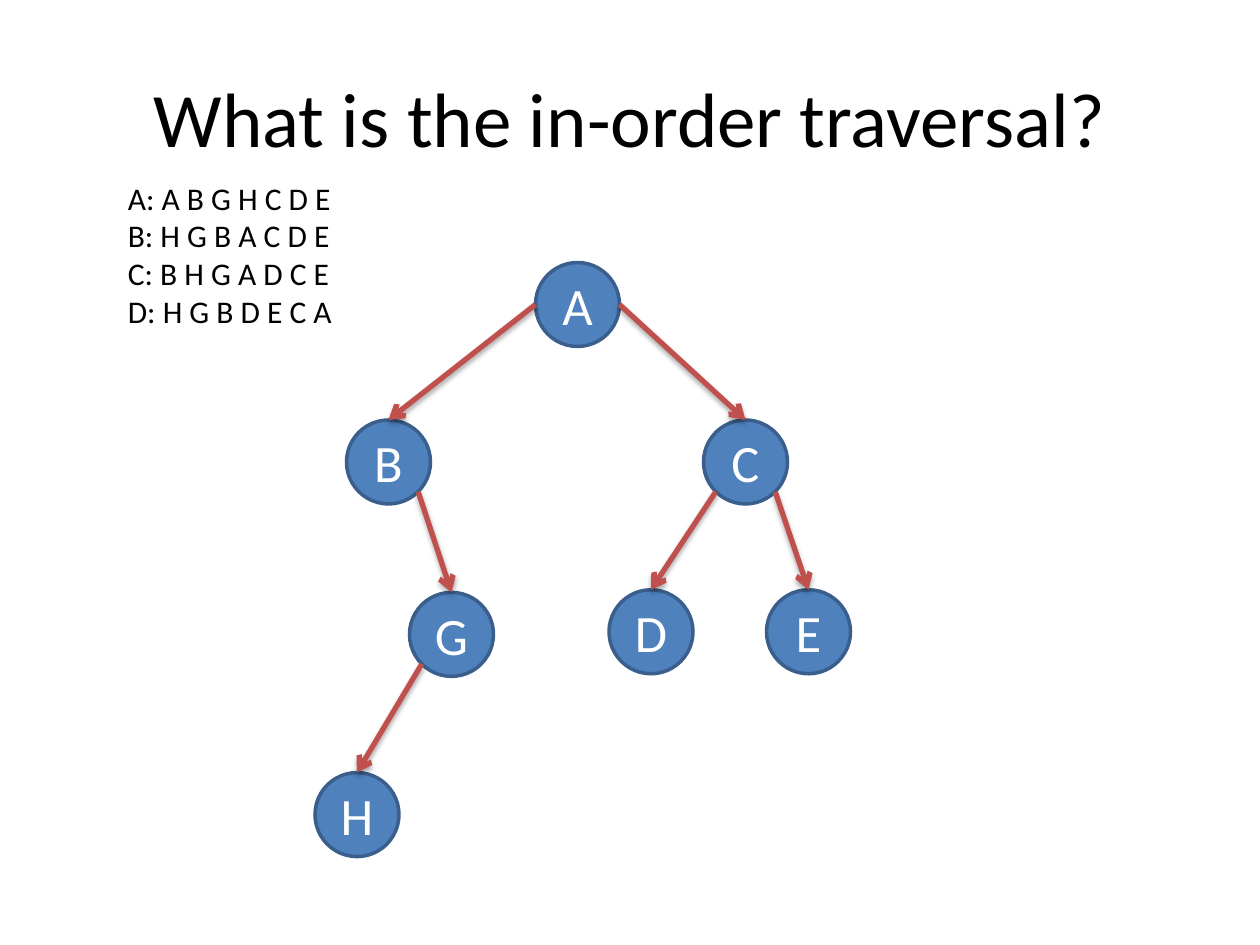
from math import sqrt

from lxml.etree import SubElement
from pptx import Presentation
from pptx.dml.color import RGBColor
from pptx.enum.shapes import MSO_CONNECTOR as CONN, MSO_SHAPE as SHAPE
from pptx.enum.text import MSO_ANCHOR as ANCHOR, MSO_AUTO_SIZE as AUTO, PP_ALIGN as ALIGN
from pptx.oxml.ns import qn
from pptx.util import Pt

BLACK = RGBColor(0x00, 0x00, 0x00)
WHITE = RGBColor(0xFF, 0xFF, 0xFF)
BLUE = RGBColor(0x4F, 0x81, 0xBD)
DARK_BLUE = RGBColor(0x3A, 0x5F, 0x8C)
RED = RGBColor(0xC0, 0x50, 0x4D)

NODE = 48  # node diameter in points
DIAGONAL = sqrt(0.5)

# Left and top of each node
NODES = {
    "A": (306, 150),
    "B": (198, 240), "C": (402, 240),
    "G": (234, 338.5), "D": (348, 337), "E": (438, 337),
    "H": (180, 441.5),
}
# Parent, child, and where the arrow leaves the parent (in radii from its centre)
EDGES = [
    ("A", "B", (-1, 0)), ("A", "C", (1, 0)),
    ("B", "G", (DIAGONAL, DIAGONAL)),
    ("C", "D", (-DIAGONAL, DIAGONAL)), ("C", "E", (DIAGONAL, DIAGONAL)),
    ("G", "H", (-DIAGONAL, DIAGONAL)),
]
ANSWERS = ["A: A B G H C D E", "B: H G B A C D E", "C: B H G A D C E", "D: H G B D E C A"]


def write(tf, lines, size, color=BLACK, align=ALIGN.LEFT, anchor=ANCHOR.TOP):
    """Fill a text frame with one paragraph per line."""
    tf.vertical_anchor = anchor
    for i, line in enumerate(lines):
        p = tf.paragraphs[0] if i == 0 else tf.add_paragraph()
        p.alignment = align
        r = p.add_run()
        r.text = line
        r.font.name = "Calibri"
        r.font.size = Pt(size)
        r.font.color.rgb = color


class TreeSlide:
    def __init__(self, prs):
        self.s = prs.slides.add_slide(prs.slide_layouts[5])
        self.nodes = {}

    def title(self, text, x, y, w, h):
        sp = self.s.shapes.title
        sp.left, sp.top, sp.width, sp.height = Pt(x), Pt(y), Pt(w), Pt(h)
        write(sp.text_frame, [text], 44, align=ALIGN.CENTER, anchor=ANCHOR.MIDDLE)

    def answers(self, lines, x, y, w, h):
        tf = self.s.shapes.add_textbox(Pt(x), Pt(y), Pt(w), Pt(h)).text_frame
        tf.word_wrap = False
        tf.auto_size = AUTO.SHAPE_TO_FIT_TEXT
        write(tf, lines, 18)

    def node(self, name, x, y):
        sp = self.s.shapes.add_shape(SHAPE.OVAL, Pt(x), Pt(y), Pt(NODE), Pt(NODE))
        sp.shadow.inherit = False
        sp.fill.solid()
        sp.fill.fore_color.rgb = BLUE
        sp.line.color.rgb = DARK_BLUE
        sp.line.width = Pt(2)
        write(sp.text_frame, [name], 30, WHITE, ALIGN.CENTER, ANCHOR.MIDDLE)
        self.nodes[name] = sp

    def edge(self, parent, child, leave):
        x, y = (v + NODE / 2 * (1 + d) for v, d in zip(NODES[parent], leave))
        cx, cy = NODES[child]
        line = self.s.shapes.add_connector(
            CONN.STRAIGHT, Pt(x), Pt(y), Pt(cx + NODE / 2), Pt(cy))
        line.end_connect(self.nodes[child], 0)
        line.line.color.rgb = RED
        line.line.width = Pt(3)
        # Arrowhead and soft shadow
        sp_pr = line._element.spPr
        SubElement(sp_pr.find(qn("a:ln")), qn("a:tailEnd"), type="arrow")
        effects = SubElement(sp_pr, qn("a:effectLst"))
        shadow = SubElement(effects, qn("a:outerShdw"), blurRad=str(Pt(3.1)),
                            dist=str(Pt(1.8)), dir="5400000", rotWithShape="0")
        color = SubElement(shadow, qn("a:srgbClr"), val=str(BLACK))
        SubElement(color, qn("a:alpha"), val="35000")


def main():
    prs = Presentation()
    prs.slide_width, prs.slide_height = Pt(720), Pt(540)
    slide = TreeSlide(prs)

    # Question and possible answers
    slide.title("What is the in-order traversal?", 36, 21.6, 648, 90)
    slide.answers(ANSWERS, 66, 98.6, 132, 94.5)

    # Binary tree
    for name, (x, y) in NODES.items():
        slide.node(name, x, y)
    for parent, child, leave in EDGES:
        slide.edge(parent, child, leave)

    prs.save("out.pptx")


if __name__ == "__main__":
    main()
